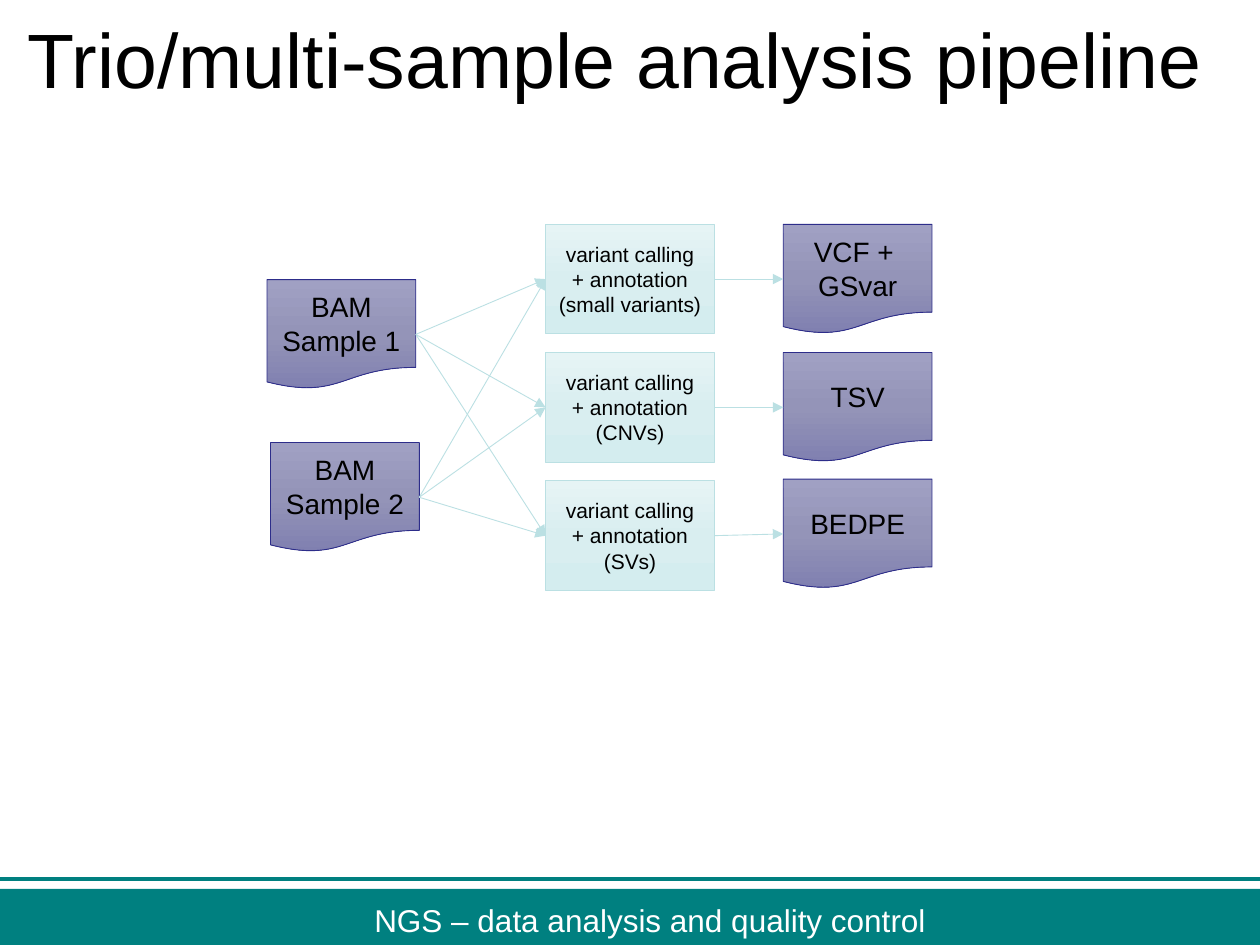
import copy
from dataclasses import dataclass

import pptx
import pptx.dml.color
import pptx.enum.shapes
import pptx.enum.text
import pptx.oxml
import pptx.oxml.ns
import pptx.util

Pt = pptx.util.Pt
SHAPE = pptx.enum.shapes.MSO_SHAPE
CONNECTOR = pptx.enum.shapes.MSO_CONNECTOR
ALIGN = pptx.enum.text.PP_ALIGN
ANCHOR = pptx.enum.text.MSO_ANCHOR
AUTO_SIZE = pptx.enum.text.MSO_AUTO_SIZE
qn = pptx.oxml.ns.qn
LEFT_SITE, RIGHT_SITE = 1, 3


@dataclass(frozen=True)
class Theme:
    font: str = "Arial"
    text: str = "000000"
    footer_text: str = "FFFFFF"
    teal: str = "008080"
    file_fill: tuple = ("A0A0C3", "9494B8", "8080B0")
    file_line: str = "2D2D8A"
    step_fill: tuple = ("E6F4F5", "D9EEF0", "D4EDEF")
    step_line: str = "BBE0E3"
    title_size: int = 44
    footer_size: int = 18
    file_size: int = 16
    step_size: int = 12
    thin: float = 0.5
    rule: float = 2.25


THEME = Theme()


def rgb(color):
    return pptx.dml.color.RGBColor.from_string(color)


def set_text(tf, lines, size, color, align):
    tf.text = "\n".join(lines)
    for p in tf.paragraphs:
        p.alignment = align
        for r in p.runs:
            r.font.name = THEME.font
            r.font.size = Pt(size)
            r.font.color.rgb = rgb(color)


def set_gradient(fill, colors):
    """Vertical gradient with evenly spaced stops."""
    fill.gradient()
    fill.gradient_angle = 270
    stops = fill._xPr.find(qn("a:gradFill")).find(qn("a:gsLst"))
    while len(stops) < len(colors):
        stops.append(copy.deepcopy(stops[0]))
    for i, (stop, color) in enumerate(zip(fill.gradient_stops, colors)):
        stop.color.rgb = rgb(color)
        stop.position = i / (len(colors) - 1)


def add_node(s, kind, x, y, w, lines, size, fill, line):
    sp = s.shapes.add_shape(kind, Pt(x), Pt(y), Pt(w), Pt(62.6))
    sp.shadow.inherit = False
    set_gradient(sp.fill, fill)
    sp.line.color.rgb = rgb(line)
    sp.line.width = Pt(THEME.thin)
    tf = sp.text_frame
    tf.word_wrap = True
    tf.vertical_anchor = ANCHOR.MIDDLE
    set_text(tf, lines, size, THEME.text, ALIGN.CENTER)
    return sp


def add_file(s, x, y, *lines):
    return add_node(s, SHAPE.FLOWCHART_DOCUMENT, x, y, 85, lines,
                    THEME.file_size, THEME.file_fill, THEME.file_line)


def add_step(s, x, y, *lines):
    return add_node(s, SHAPE.FLOWCHART_PROCESS, x, y, 96.5, lines,
                    THEME.step_size, THEME.step_fill, THEME.step_line)


def add_line(s, x1, y1, x2, y2, color, width):
    line = s.shapes.add_connector(CONNECTOR.STRAIGHT, Pt(x1), Pt(y1), Pt(x2), Pt(y2))
    line.line.color.rgb = rgb(color)
    line.line.width = Pt(width)
    line._element.spPr.append(pptx.oxml.parse_xml(
        f"<a:effectLst {pptx.oxml.ns.nsdecls('a')}/>"))
    return line


def add_arrow(s, source, target):
    arrow = add_line(s, 0, 0, 0, 0, THEME.step_line, THEME.thin)
    arrow.begin_connect(source, RIGHT_SITE)
    arrow.end_connect(target, LEFT_SITE)
    arrow.line._get_or_add_ln().append(pptx.oxml.parse_xml(
        f"<a:tailEnd {pptx.oxml.ns.nsdecls('a')} type='triangle'/>"))


def add_title(s, text):
    sp = s.shapes.title
    sp.left, sp.top, sp.width, sp.height = Pt(8.6), Pt(0), Pt(711.4), Pt(65.5)
    tf = sp.text_frame
    tf.auto_size = AUTO_SIZE.NONE
    tf.vertical_anchor = ANCHOR.MIDDLE
    set_text(tf, [text], THEME.title_size, THEME.text, ALIGN.LEFT)


def add_footer(s, text):
    band = s.shapes.add_shape(SHAPE.RECTANGLE, Pt(0), Pt(508), Pt(720), Pt(32))
    band.shadow.inherit = False
    band.fill.solid()
    band.fill.fore_color.rgb = rgb(THEME.teal)
    band.line.fill.background()
    add_line(s, 0, 502.5, 720, 502.5, THEME.teal, THEME.rule)
    sp = s.shapes.add_textbox(Pt(206.8), Pt(511.2), Pt(332.6), Pt(29))
    sp.text_frame.word_wrap = False
    set_text(sp.text_frame, [text], THEME.footer_size, THEME.footer_text, ALIGN.LEFT)


def main():
    prs = pptx.Presentation()
    prs.slide_width, prs.slide_height = Pt(720), Pt(540)
    s = prs.slides.add_slide(prs.slide_layouts[5])
    add_footer(s, "NGS – data analysis and quality control")
    add_title(s, "Trio/multi-sample analysis pipeline")

    # Input files
    samples = [add_file(s, 152.6, 159.8, "BAM", "Sample 1"),
               add_file(s, 154.6, 252.9, "BAM", "Sample 2")]

    # Calling steps, evenly spaced
    calls = [("variant calling", "+ annotation", "(small variants)"),
             ("variant calling + annotation", "(CNVs)"),
             ("variant calling + annotation", "(SVs)")]
    steps = [add_step(s, 311.8, 128.2 + 73.3 * i, *lines)
             for i, lines in enumerate(calls)]

    # Output files
    results = [add_file(s, 447.6, 128.2, "VCF + ", "GSvar"),
               add_file(s, 447.6, 201.5, "TSV"),
               add_file(s, 447.6, 273.8, "BEDPE")]

    # Every sample feeds every step; each step writes one file
    for step, result in zip(steps, results):
        for sample in samples:
            add_arrow(s, sample, step)
        add_arrow(s, step, result)

    prs.save("out.pptx")


main()
